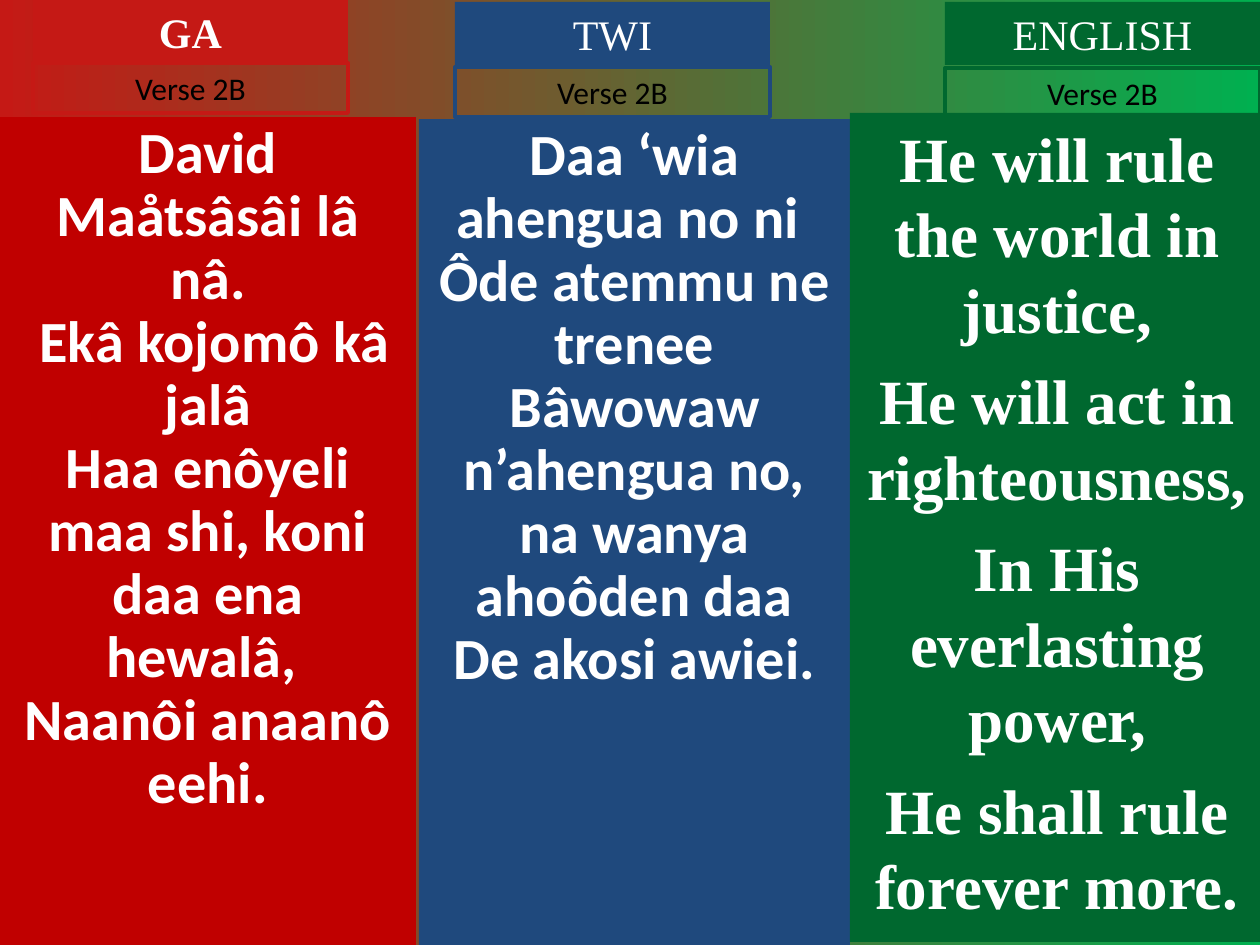
from pptx import Presentation
from pptx.dml.color import RGBColor
from pptx.enum.shapes import MSO_SHAPE
from pptx.enum.text import MSO_ANCHOR, PP_ALIGN
from pptx.util import Emu, Pt

SCALE = 914400 / 126
RED = RGBColor(0xC5, 0x19, 0x15)
DEEP_RED = RGBColor(0xC0, 0x00, 0x00)
BLUE = RGBColor(0x1F, 0x49, 0x7D)
GREEN = RGBColor(0x00, 0x68, 0x2F)
BRIGHT_GREEN = RGBColor(0x00, 0xB0, 0x50)
WHITE = RGBColor(0xFF, 0xFF, 0xFF)
BLACK = RGBColor(0x00, 0x00, 0x00)

TITLE = {"name": "Times New Roman", "size": Pt(24), "bold": False}
VERSE = {"name": "Calibri", "size": Pt(18), "bold": False}
LYRIC = {"name": "Calibri", "size": Pt(33.3), "bold": True}
LYRIC_LARGE = {"name": "Times New Roman", "size": Pt(36), "bold": True}
TIGHT = {"line_spacing": 0.9}
SPACED = {"line_spacing": 1.0, "space_before": Pt(9)}

COLUMNS = [
    {
        "title": "GA", "color": RED, "panel_color": DEEP_RED,
        "title_box": (33, 0, 315, 63), "verse_box": (33, 63, 315, 50),
        "panel_box": (0, 117, 416, 828),
        "title_font": TITLE | {"bold": True}, "lyric_font": LYRIC, "spacing": TIGHT,
        "lines": [
            "David Maåtsâsâi lâ nâ.",
            " Ekâ kojomô kâ jalâ",
            "Haa enôyeli maa shi, koni daa ena hewalâ, ",
            "Naanôi anaanô eehi.",
        ],
    },
    {
        "title": "TWI", "color": BLUE, "panel_color": BLUE,
        "title_box": (455, 2, 315, 63), "verse_box": (455, 67, 315, 50),
        "panel_box": (419, 119, 431, 826),
        "title_font": TITLE, "lyric_font": LYRIC, "spacing": TIGHT,
        "lines": [
            "Daa ‘wia ahengua no ni ",
            "Ôde atemmu ne trenee",
            "Bâwowaw n’ahengua no, na wanya ahoôden daa",
            "De akosi awiei.",
        ],
    },
    {
        "title": "ENGLISH", "color": GREEN, "panel_color": GREEN,
        "title_box": (945, 2, 315, 63), "verse_box": (945, 68, 315, 50),
        "panel_box": (850, 113, 414, 829),
        "title_font": TITLE, "lyric_font": LYRIC_LARGE, "spacing": SPACED,
        "lines": [
            "He will rule the world in justice,",
            "He will act in righteousness,",
            "In His everlasting power,",
            "He shall rule forever more.",
        ],
    },
]


def px(length):
    """Turn a length in px into EMU."""
    return Emu(round(length * SCALE))


def add_background(page):
    """Fill the page with a red to green gradient from left to right."""
    fill = page.background.fill
    fill.gradient()
    fill.gradient_angle = 0
    for stop, color, position in zip(fill.gradient_stops, (RED, BRIGHT_GREEN), (0, 1)):
        stop.color.rgb = color
        stop.position = position


def add_box(page, box, lines, font, color, fill=None, outline=None,
            spacing=None, anchor=MSO_ANCHOR.MIDDLE):
    """Place a rectangle with centred paragraphs in the given box."""
    shape = page.shapes.add_shape(MSO_SHAPE.RECTANGLE, *map(px, box))
    shape.shadow.inherit = False
    if fill is None:
        shape.fill.background()
    else:
        shape.fill.solid()
        shape.fill.fore_color.rgb = fill
    if outline is None:
        shape.line.fill.background()
    else:
        shape.line.color.rgb = outline
        shape.line.width = Pt(2.25)
    frame = shape.text_frame
    frame.word_wrap = True
    frame.vertical_anchor = anchor
    for index, line in enumerate(lines):
        para = frame.paragraphs[0] if index == 0 else frame.add_paragraph()
        para.alignment = PP_ALIGN.CENTER
        for name, value in (spacing or {}).items():
            if index or name != "space_before":
                setattr(para, name, value)
        span = para.add_run()
        span.text = line
        span.font.color.rgb = color
        for name, value in font.items():
            setattr(span.font, name, value)


def add_column(page, column):
    """Place one language: lyric panel, title and verse label."""
    add_box(page, column["panel_box"], column["lines"], column["lyric_font"], WHITE,
            fill=column["panel_color"], spacing=column["spacing"], anchor=MSO_ANCHOR.TOP)
    add_box(page, column["title_box"], [column["title"]], column["title_font"], WHITE,
            fill=column["color"])
    add_box(page, column["verse_box"], ["Verse 2B"], VERSE, BLACK, outline=column["color"])


def main():
    """Build the slide and save the deck."""
    deck = Presentation()
    deck.slide_width, deck.slide_height = px(1260), px(945)
    page = deck.slides.add_slide(deck.slide_layouts[6])
    add_background(page)
    for column in COLUMNS:
        add_column(page, column)
    deck.save("out.pptx")


if __name__ == "__main__":
    main()
